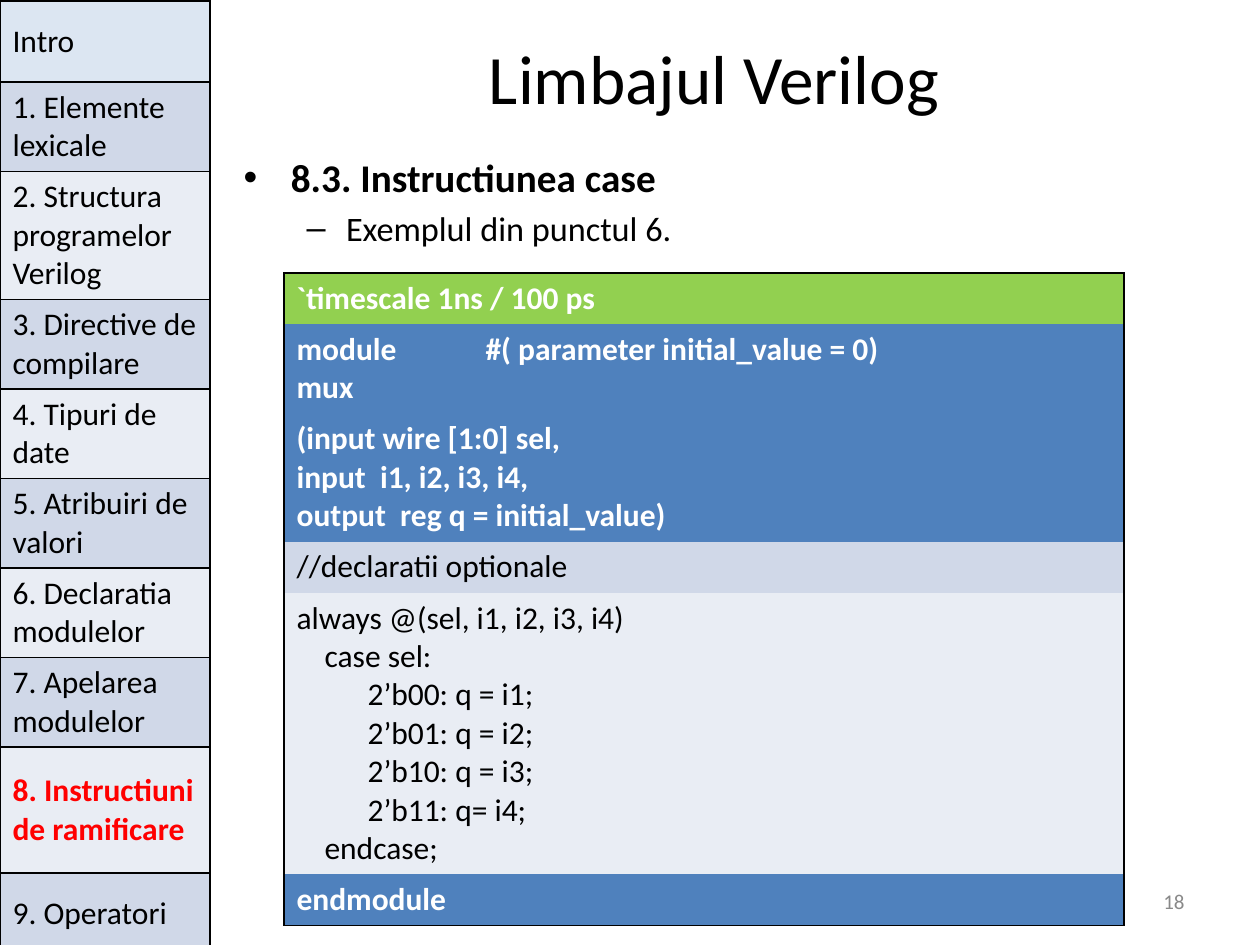
from dataclasses import dataclass

from lxml import etree
from pptx import Presentation
from pptx.dml.color import RGBColor
from pptx.enum.text import MSO_ANCHOR, MSO_AUTO_SIZE, PP_ALIGN
from pptx.oxml.ns import qn
from pptx.util import Pt

MIDDLE, TOP = MSO_ANCHOR.MIDDLE, MSO_ANCHOR.TOP
CENTER, RIGHT = PP_ALIGN.CENTER, PP_ALIGN.RIGHT
NO_FIT = MSO_AUTO_SIZE.NONE
PIXEL = 914400 // 126
PLAIN_TABLE = "{2D5ABB26-0587-4C30-8999-92F81FD0307C}"


@dataclass(frozen=True)
class Theme:
    font: str = "Calibri"
    black: str = "000000"
    white: str = "FFFFFF"
    red: str = "FF0000"
    grey: str = "898989"
    pale: str = "DCE6F2"
    band: str = "D0D8E8"
    light: str = "E9EDF4"
    blue: str = "4F81BD"
    green: str = "92D050"
    title: float = 39.6
    heading: float = 22.4
    example: float = 19.6
    cell: float = 18
    number: float = 12


theme = Theme()


def add_span(para, text, size, color, bold=False):
    span = para.add_run()
    span.text = text
    span.font.name = theme.font
    span.font.size = Pt(size)
    span.font.bold = bold
    span.font.color.rgb = RGBColor.from_string(color)


def style_cell(cell, fill, sides, anchor):
    cell.vertical_anchor = anchor
    cell.fill.solid()
    cell.fill.fore_color.rgb = RGBColor.from_string(fill)
    properties = cell._tc.get_or_add_tcPr()
    for index, side in enumerate(sides):
        line = etree.Element(qn(f"a:ln{side}"), w=str(Pt(1)))
        solid = etree.SubElement(line, qn("a:solidFill"))
        etree.SubElement(solid, qn("a:srgbClr"), val=theme.black)
        properties.insert(index, line)


deck = Presentation()
deck.slide_width, deck.slide_height = 1260 * PIXEL, 945 * PIXEL
page = deck.slides.add_slide(deck.slide_layouts[1])

title, body = page.shapes.title, page.placeholders[1]
number = page.shapes.add_textbox(0, 0, 0, 0)
frames = [
    (title, 231, 38, 966, 78, MIDDLE),
    (body, 231, 147, 966, 95, TOP),
    (number, 903, 876, 294, 50, MIDDLE),
]
for box, left, top, width, height, anchor in frames:
    box.left, box.top = left * PIXEL, top * PIXEL
    box.width, box.height = width * PIXEL, height * PIXEL
    box.text_frame.word_wrap = True
    box.text_frame.auto_size = NO_FIT
    box.text_frame.vertical_anchor = anchor

title_para = title.text_frame.paragraphs[0]
title_para.alignment = CENTER
add_span(title_para, "Limbajul Verilog", theme.title, theme.black)

heading = body.text_frame.paragraphs[0]
add_span(heading, "8.3. Instructiunea case ", theme.heading, theme.black, True)
example = body.text_frame.add_paragraph()
example.level = 1
add_span(example, "Exemplul din punctul 6.", theme.example, theme.black)

number_para = number.text_frame.paragraphs[0]
number_para.alignment = RIGHT
add_span(number_para, "18", theme.number, theme.grey)

chapters = [
    ("Intro", 81),
    ("1. Elemente lexicale", 88),
    ("2. Structura programelor Verilog", 126),
    ("3. Directive de compilare", 88),
    ("4. Tipuri de date", 88),
    ("5. Atribuiri de valori", 88),
    ("6. Declaratia modulelor", 88),
    ("7. Apelarea modulelor", 88),
    ("8. Instructiuni de ramificare", 126),
    ("9. Operatori", 81),
]
current = 8
code_rows = [
    (51, theme.green, theme.white, [[(0, "`timescale 1ns / 100 ps")]]),
    (51, theme.blue, theme.white,
     [[(0, "module mux")], [(0, "#( parameter initial_value = 0)")]]),
    (126, theme.blue, theme.white,
     [[(0, "(input wire [1:0] sel, "), (0, "input  i1, i2, i3, i4,"),
       (0, "output  reg q = initial_value)")]]),
    (51, theme.band, theme.black, [[(0, "//declaratii optionale")]]),
    (277, theme.light, theme.black,
     [[(0, "always @(sel, i1, i2, i3, i4)"), (28, "case sel:"),
       (71, "2’b00: q = i1;"), (71, "2’b01: q = i2;"),
       (71, "2’b10: q = i3;"), (71, "2’b11: q= i4;"), (28, "endcase;")]]),
    (51, theme.blue, theme.white, [[(0, "endmodule")]]),
]

menu_height = sum(height for _, height in chapters)
code_height = sum(row[0] for row in code_rows)
menu = page.shapes.add_table(
    len(chapters), 1, 0, PIXEL, 210 * PIXEL, menu_height * PIXEL).table
code = page.shapes.add_table(
    len(code_rows), 2, 284 * PIXEL, 273 * PIXEL, 840 * PIXEL, code_height * PIXEL).table
for table in (menu, code):
    table.first_row = table.horz_banding = False
    table._tbl.tblPr.find(qn("a:tableStyleId")).text = PLAIN_TABLE

for index, (text, height) in enumerate(chapters):
    menu.rows[index].height = height * PIXEL
    cell = menu.cell(index, 0)
    fill = theme.band if index % 2 else theme.light
    style_cell(cell, fill if index else theme.pale, "LRTB", MIDDLE)
    active = index == current
    add_span(cell.text_frame.paragraphs[0], text, theme.cell,
             theme.red if active else theme.black, active)

for column, width in zip(code.columns, (189, 651)):
    column.width = width * PIXEL
for index, (height, fill, color, blocks) in enumerate(code_rows):
    code.rows[index].height = height * PIXEL
    edge = {0: "T", len(code_rows) - 1: "B"}.get(index, "")
    if len(blocks) == 1:
        code.cell(index, 0).merge(code.cell(index, 1))
        borders = ["LR" + edge, "R" + edge]
    else:
        borders = ["L", "R"]
    for column, sides in enumerate(borders):
        style_cell(code.cell(index, column), fill, sides, TOP)
    for column, lines in enumerate(blocks):
        frame = code.cell(index, column).text_frame
        for position, (indent, text) in enumerate(lines):
            para = frame.add_paragraph() if position else frame.paragraphs[0]
            if indent:
                para._p.get_or_add_pPr().set("marL", str(indent * PIXEL))
            add_span(para, text, theme.cell, color, color == theme.white)

deck.save("out.pptx")
